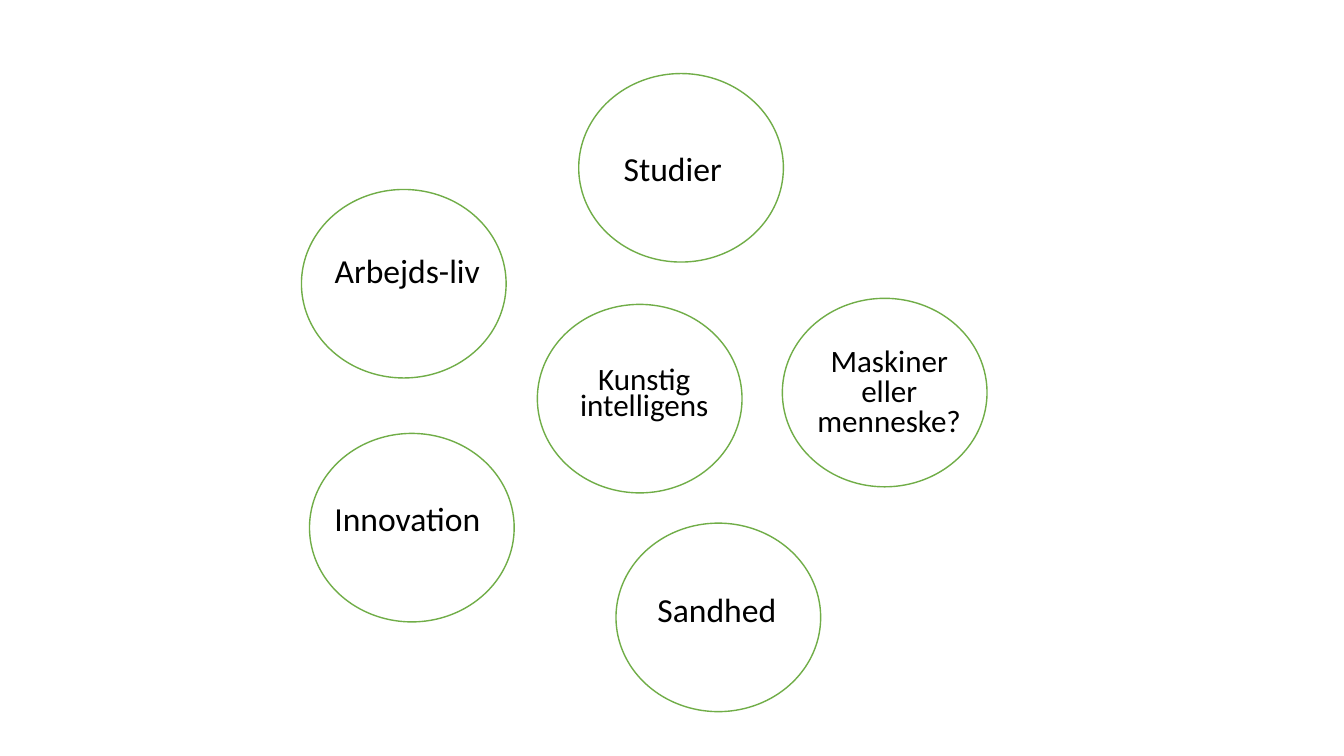
from pptx import Presentation
from pptx import util as u
from pptx.dml.color import RGBColor
from pptx.enum import shapes, text


def color(hex_string):
    return RGBColor.from_string(hex_string)


presentation = Presentation()
presentation.slide_width = u.Inches(13.33)
presentation.slide_height = u.Inches(7.5)
slide = presentation.slides.add_slide(presentation.slide_layouts[6])

CIRCLE_WIDTH, CIRCLE_HEIGHT = 2.03, 1.87
LABEL_WIDTH = 1.94

# Topics: wording, circle left/top, label left/top/height, size, line spacing
topics = [
    ("Kunstig intelligens", (5.33, 3.02), (5.42, 3.62, 0.65), 22.2, 0.7),
    ("Arbejds-liv", (2.99, 1.88), (3.07, 2.48, 0.65), 24, 0.9),
    ("Studier ", (5.74, 0.73), (5.74, 1.46, 0.65), 24, 0.9),
    ("Innovation", (3.07, 4.3), (3.07, 4.94, 0.65), 24, 0.9),
    ("Sandhed", (6.11, 5.19), (6.14, 5.84, 0.65), 24, 0.9),
    ("Maskiner eller menneske?", (7.76, 2.96), (7.85, 3.41, 1.02), 22.2, 0.8),
]

for wording, circle_place, label_place, size, line_spacing in topics:
    # Circle
    left, top = circle_place
    circle = slide.shapes.add_shape(
        shapes.MSO_SHAPE.OVAL, u.Inches(left), u.Inches(top),
        u.Inches(CIRCLE_WIDTH), u.Inches(CIRCLE_HEIGHT))
    circle.shadow.inherit = False
    circle.fill.solid()
    circle.fill.fore_color.rgb = color("FFFFFF")
    circle.line.color.rgb = color("70AD47")
    circle.line.width = u.Pt(1)

    # Label
    left, top, height = label_place
    label = slide.shapes.add_textbox(
        u.Inches(left), u.Inches(top), u.Inches(LABEL_WIDTH), u.Inches(height))
    frame = label.text_frame
    frame.word_wrap = True
    frame.vertical_anchor = text.MSO_ANCHOR.TOP
    paragraph = frame.paragraphs[0]
    paragraph.alignment = text.PP_ALIGN.CENTER
    paragraph.line_spacing = line_spacing
    paragraph.space_before = u.Pt(10)
    run = paragraph.add_run()
    run.text = wording
    run.font.name = "Calibri"
    run.font.size = u.Pt(size)
    run.font.color.rgb = color("000000")

presentation.save("out.pptx")
